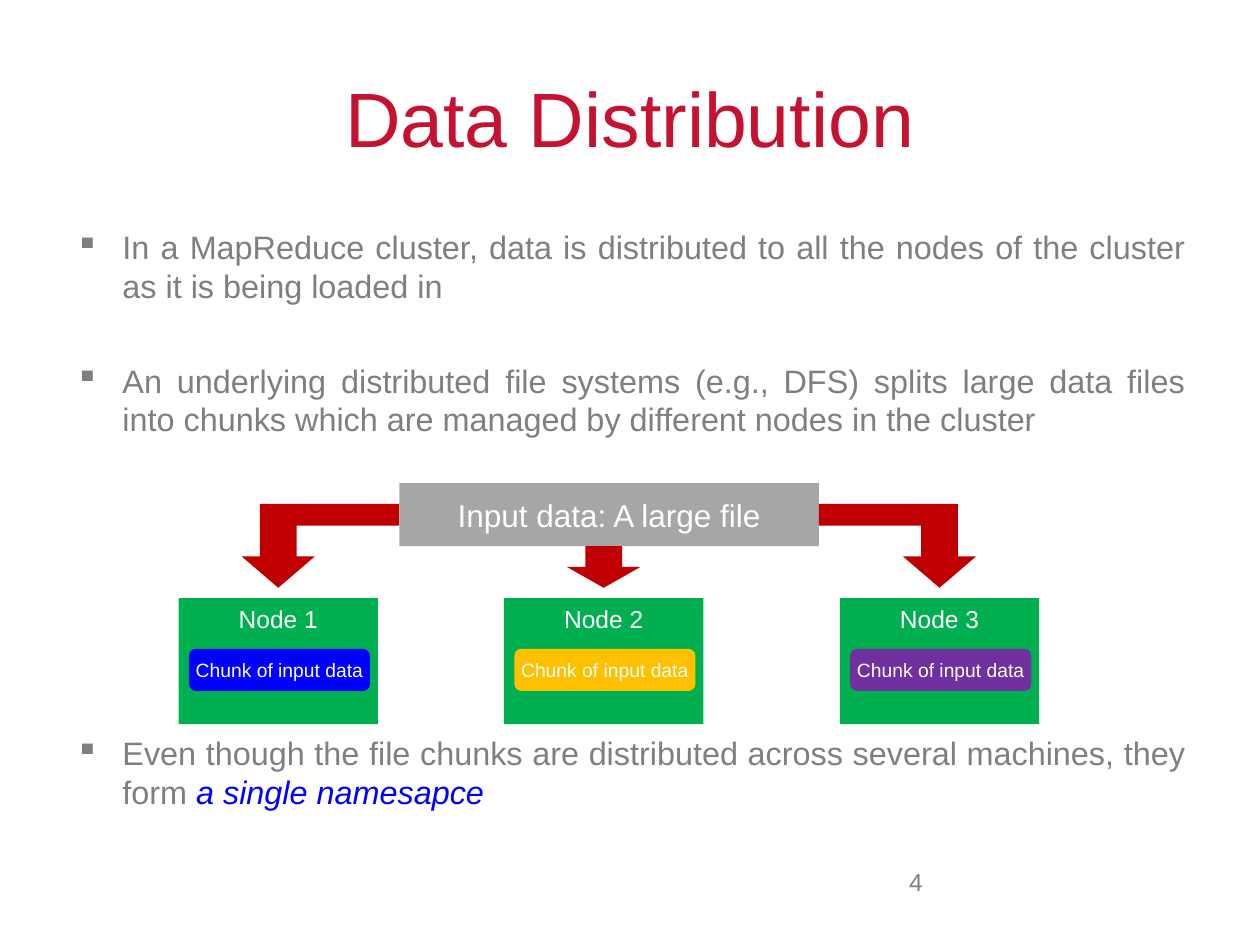
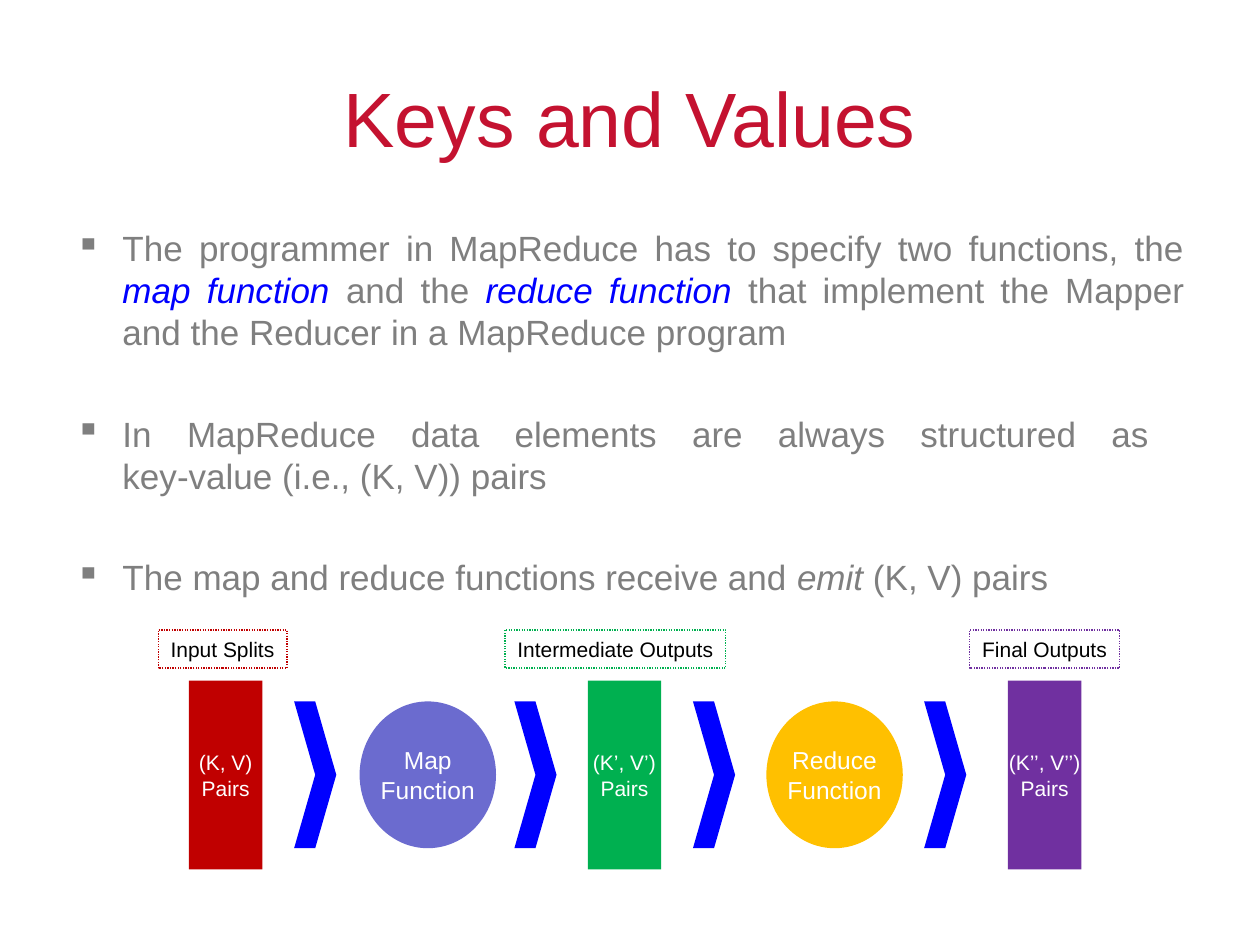
from typing import NamedTuple, Optional

from lxml import etree
from pptx import Presentation
from pptx import util as u
from pptx.dml.color import RGBColor
from pptx.enum import dml, shapes, text
from pptx.oxml.ns import qn

FONT = "Arial"
CRIMSON, GREY, PAGE_GREY, FILE_GREY = "C41230", "7F7F7F", "808080", "A6A6A6"
RED, GREEN, BLUE, AMBER = "C00000", "00B050", "0000FF", "FFC000"
PURPLE, PERIWINKLE, WHITE, BLACK = "7030A0", "6B6BCF", "FFFFFF", "000000"

SHAPE = shapes.MSO_SHAPE
ALIGN = text.PP_ALIGN
ANCHOR = text.MSO_ANCHOR
LINE_BREAK = "\v"


class Box(NamedTuple):
    """A rectangle in centimetres."""
    left: float
    top: float
    width: float
    height: float

    def lengths(self) -> list:
        return [u.Cm(value) for value in self]


class Piece(NamedTuple):
    """A stretch of body text in one style."""
    words: str
    color: str = GREY
    italic: bool = False


class Bullet(NamedTuple):
    pieces: list
    space_before: float = 0


class Node(NamedTuple):
    name: str
    center: float
    chunk_color: str


class Stack(NamedTuple):
    """A block of pairs with its dotted label."""
    pairs: str
    left: float
    color: str
    label: str
    label_left: float
    label_width: float


class Function(NamedTuple):
    name: str
    left: float
    color: str


TITLE_BOX = Box(1.27, 0.76, 22.86, 3.18)
BODY_BOX = Box(1.27, 4.45, 22.86, 12.57)
PAGE_BOX = Box(16.51, 17.35, 2.34, 1.32)

FILE_BOX = Box(8.05, 9.74, 8.46, 1.27)
NODE_WIDTH, NODE_TOP = 4.02, 12.06
ARROW_WIDTH, ARROW_TOP, ARROW_TIP = 1.48, 10.58, 11.85
BAR_TOP, BAR_HEIGHT = 10.16, 0.44
NODES = [
    Node("Node 1", 5.61, BLUE),
    Node("Node 2", 12.17, AMBER),
    Node("Node 3", 18.94, PURPLE),
]

FLOW_TOP, FLOW_HEIGHT = 14.14, 2.96
STACKS = [
    Stack("(K, V) Pairs", 3.81, RED, "Input Splits", 3.19, 2.6),
    Stack("(K’, V’) Pairs", 11.85, GREEN, "Intermediate Outputs", 10.18, 4.45),
    Stack("(K’’, V’’) Pairs", 20.32, PURPLE, "Final Outputs", 19.55, 3.02),
]
FUNCTIONS = [
    Function("Map Function", 7.25, PERIWINKLE),
    Function("Reduce Function", 15.45, AMBER),
]
CHEVRON_LEFTS = [5.93, 10.37, 13.97, 18.63]


def rgb(color: str) -> RGBColor:
    return RGBColor.from_string(color)


def style(font, size: float, color: str, italic: bool = False) -> None:
    font.name, font.size, font.italic = FONT, u.Pt(size), italic
    font.color.rgb = rgb(color)


def write(shape, words: str, size: float, color: str, align=ALIGN.CENTER,
          anchor=ANCHOR.MIDDLE, side_inset: float = 0.25) -> None:
    frame = shape.text_frame
    frame.text = words
    frame.word_wrap = True
    frame.vertical_anchor = anchor
    frame.margin_left = frame.margin_right = u.Cm(side_inset)
    paragraph = frame.paragraphs[0]
    paragraph.alignment = align
    for run in paragraph.runs:
        style(run.font, size, color)


def add_block(slide, kind, box: Box, color: Optional[str]):
    """Add a preset shape without outline; no colour means no fill."""
    shape = slide.shapes.add_shape(kind, *box.lengths())
    shape.shadow.inherit = False
    shape.line.fill.background()
    if color:
        shape.fill.solid()
        shape.fill.fore_color.rgb = rgb(color)
    else:
        shape.fill.background()
    return shape


def add_square_bullet(paragraph) -> None:
    properties = paragraph._p.get_or_add_pPr()
    indent = u.Cm(0.95)
    properties.set("marL", str(indent))
    properties.set("indent", str(-indent))
    bullet_color = etree.SubElement(properties, qn("a:buClr"))
    etree.SubElement(bullet_color, qn("a:srgbClr"), val=GREY)
    etree.SubElement(properties, qn("a:buChar"), char="▪")


def add_body(slide, bullets: list, size: float) -> None:
    frame = slide.shapes.add_textbox(*BODY_BOX.lengths()).text_frame
    frame.word_wrap = True
    for index, bullet in enumerate(bullets):
        paragraph = frame.add_paragraph() if index else frame.paragraphs[0]
        add_square_bullet(paragraph)
        paragraph.alignment = ALIGN.JUSTIFY
        paragraph.space_before = u.Pt(bullet.space_before)
        for piece in bullet.pieces:
            if piece.words == LINE_BREAK:
                paragraph.add_line_break()
                continue
            run = paragraph.add_run()
            run.text = piece.words
            style(run.font, size, piece.color, piece.italic)


def add_titled_slide(presentation, title: str):
    slide = presentation.slides.add_slide(presentation.slide_layouts[5])
    shape = slide.shapes.title
    shape.left, shape.top, shape.width, shape.height = TITLE_BOX.lengths()
    write(shape, title, 44, CRIMSON)
    return slide


def add_node(slide, node: Node) -> None:
    left = node.center - NODE_WIDTH / 2
    block = add_block(slide, SHAPE.RECTANGLE,
                      Box(left, NODE_TOP, NODE_WIDTH, 2.54), GREEN)
    write(block, node.name, 14, WHITE, anchor=ANCHOR.TOP)
    chunk = add_block(slide, SHAPE.ROUNDED_RECTANGLE,
                      Box(left + 0.21, NODE_TOP + 1.02, 3.65, 0.85),
                      node.chunk_color)
    write(chunk, "Chunk of input data", 11, WHITE, side_inset=0)


def add_arrow(slide, center: float, top: float) -> None:
    add_block(slide, SHAPE.DOWN_ARROW,
              Box(center - ARROW_WIDTH / 2, top, ARROW_WIDTH, ARROW_TIP - top),
              RED)


def add_bar(slide, left: float, right: float) -> None:
    add_block(slide, SHAPE.RECTANGLE,
              Box(left, BAR_TOP, right - left, BAR_HEIGHT), RED)


def add_stack(slide, stack: Stack) -> None:
    block = add_block(slide, SHAPE.RECTANGLE,
                      Box(stack.left, 13.72, 1.48, 3.81), stack.color)
    write(block, stack.pairs, 12, WHITE, side_inset=0)
    label = add_block(slide, SHAPE.RECTANGLE,
                      Box(stack.label_left, 12.7, stack.label_width, 0.77),
                      None)
    label.line.color.rgb = rgb(stack.color)
    label.line.width = u.Pt(0.75)
    label.line.dash_style = dml.MSO_LINE.ROUND_DOT
    write(label, stack.label, 12, BLACK, ALIGN.LEFT, ANCHOR.TOP)
    label.text_frame.word_wrap = False


def build_data_distribution(presentation) -> None:
    slide = add_titled_slide(presentation, "Data Distribution")
    add_body(slide, [
        Bullet([Piece("In a MapReduce cluster, data is distributed to all the "
                      "nodes of the cluster as it is being loaded in")]),
        Bullet([Piece("An underlying distributed file systems (e.g., DFS) "
                      "splits large data files into chunks which are managed "
                      "by different nodes in the cluster")], 32),
        Bullet([Piece("Even though the file chunks are distributed across "
                      "several machines, they form "),
                Piece("a single namesapce", BLUE, True)], 168.5),
    ], 18.5)
    page_number = slide.shapes.add_textbox(*PAGE_BOX.lengths())
    write(page_number, "4", 14, PAGE_GREY, ALIGN.RIGHT, ANCHOR.TOP)

    input_file = add_block(slide, SHAPE.RECTANGLE, FILE_BOX, FILE_GREY)
    write(input_file, "Input data: A large file", 18, WHITE)
    for node in NODES:
        add_node(slide, node)

    first, middle, last = (node.center for node in NODES)
    add_arrow(slide, first, ARROW_TOP)
    add_arrow(slide, middle, FILE_BOX.top + FILE_BOX.height)
    add_arrow(slide, last, ARROW_TOP)
    shaft_half = ARROW_WIDTH / 4
    add_bar(slide, first - shaft_half, FILE_BOX.left)
    add_bar(slide, FILE_BOX.left + FILE_BOX.width, last + shaft_half)


def build_keys_and_values(presentation) -> None:
    slide = add_titled_slide(presentation, "Keys and Values")
    add_body(slide, [
        Bullet([Piece("The programmer in MapReduce has to specify two "
                      "functions, the "),
                Piece("map function ", BLUE, True),
                Piece("and the "),
                Piece("reduce function ", BLUE, True),
                Piece("that implement the Mapper and the Reducer in a "
                      "MapReduce program")]),
        Bullet([Piece("In MapReduce data elements are always structured as "),
                Piece(LINE_BREAK),
                Piece("key-value (i.e., (K, V)) pairs")], 34),
        Bullet([Piece("The map and reduce functions receive and "),
                Piece("emit", italic=True),
                Piece(" (K, V) pairs")], 34),
    ], 20)
    for stack in STACKS:
        add_stack(slide, stack)
    for function in FUNCTIONS:
        circle = add_block(slide, SHAPE.OVAL,
                           Box(function.left, FLOW_TOP, 2.75, FLOW_HEIGHT),
                           function.color)
        write(circle, function.name, 14, WHITE, side_inset=0)
    for left in CHEVRON_LEFTS:
        add_block(slide, SHAPE.CHEVRON,
                  Box(left, FLOW_TOP, 0.85, FLOW_HEIGHT), BLUE)


def main() -> None:
    presentation = Presentation()
    presentation.slide_width = u.Cm(25.4)
    presentation.slide_height = u.Cm(19.05)
    build_data_distribution(presentation)
    build_keys_and_values(presentation)
    presentation.save("out.pptx")


if __name__ == "__main__":
    main()
